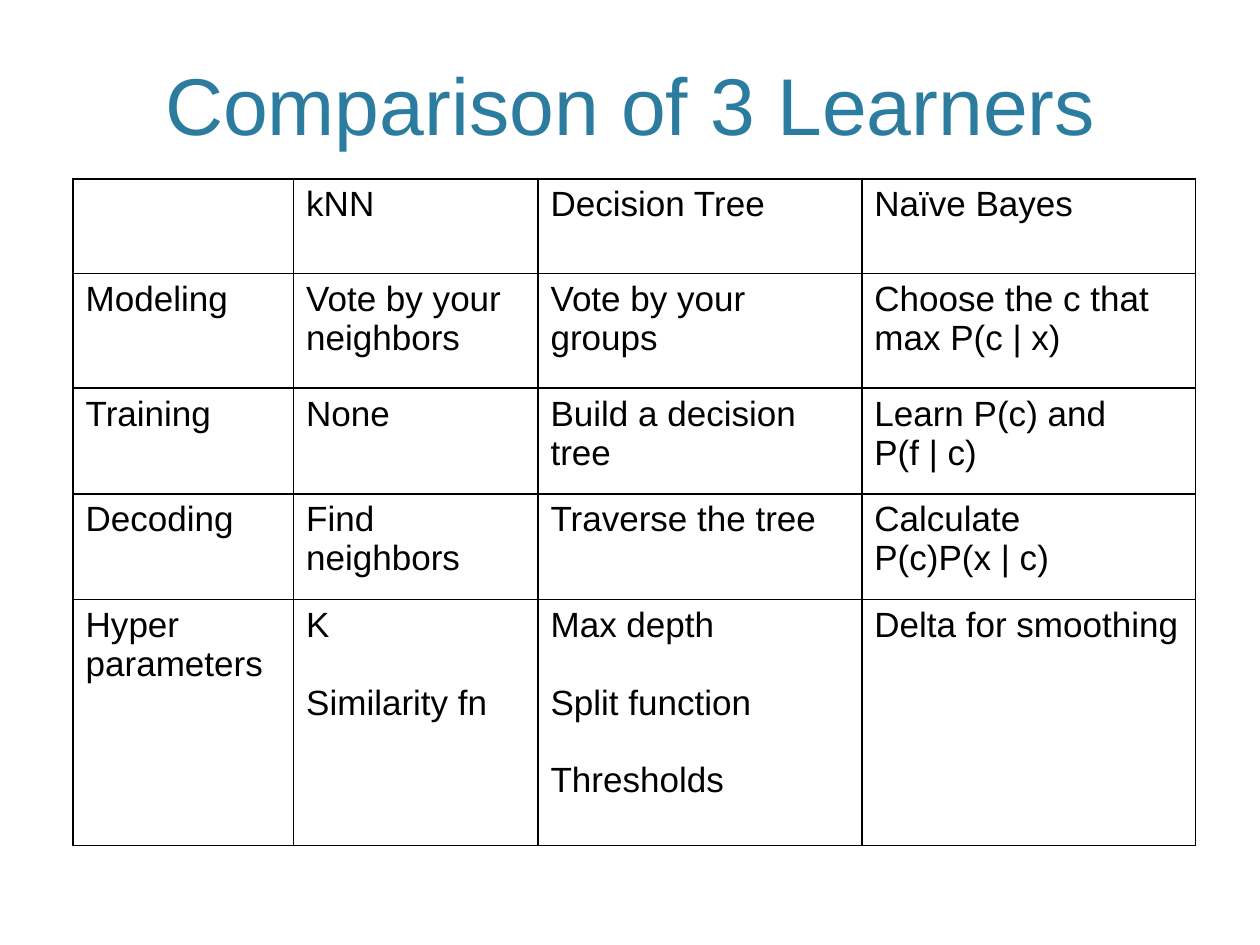
from lxml import etree
from pptx import Presentation
from pptx.dml.color import RGBColor
from pptx.enum.text import MSO_ANCHOR, PP_ALIGN
from pptx.oxml.ns import qn
from pptx.util import Inches, Pt

BOTTOM, CENTER = MSO_ANCHOR.BOTTOM, PP_ALIGN.CENTER

# Content: a line break starts a paragraph, a tuple holds spaced-out items
TITLE = "Comparison of 3 Learners"
ROWS = [
    ["", "kNN", "Decision Tree", "Naïve Bayes"],
    ["Modeling", "Vote by your neighbors", "Vote by your groups",
     "Choose the c that max P(c | x)"],
    ["Training", "None", "Build a decision tree", "Learn P(c) and\nP(f | c)"],
    ["Decoding", "Find neighbors", "Traverse the tree", "Calculate\nP(c)P(x | c)"],
    ["Hyper\nparameters", ("K", "Similarity fn"),
     ("Max depth", "Split function", "Thresholds"), "Delta for smoothing"],
]
COLUMN_WIDTHS = [1.75, 1.94, 2.57, 2.65]
ROW_HEIGHTS = [0.75, 0.91, 0.84, 0.84, 1.95]
TITLE_FONT = {"name": "Arial", "size": Pt(46)}
CELL_FONT = {"name": "Arial", "size": Pt(20)}
ITEM_GAP = Pt(22)


def color(hex_text):
    return RGBColor.from_string(hex_text)


def write(para, text, font, hex_text):
    span = para.add_run()
    span.text = text
    for key, value in font.items():
        setattr(span.font, key, value)
    span.font.color.rgb = color(hex_text)


def add_borders(cell):
    properties = cell._tc.get_or_add_tcPr()
    for position, side in enumerate(("a:lnL", "a:lnR", "a:lnT", "a:lnB")):
        line = etree.Element(qn(side), w=str(Pt(1)))
        fill = etree.SubElement(line, qn("a:solidFill"))
        etree.SubElement(fill, qn("a:srgbClr"), val="000000")
        properties.insert(position, line)


def fill_cell(cell, content):
    cell.fill.background()
    add_borders(cell)
    spaced = isinstance(content, tuple)
    frame = cell.text_frame
    for index, text in enumerate(content if spaced else content.split("\n")):
        para = frame.add_paragraph() if index else frame.paragraphs[0]
        if spaced and index:
            para.space_before = ITEM_GAP
        if text:
            write(para, text, CELL_FONT, "000000")


deck = Presentation()
deck.slide_width, deck.slide_height = Inches(10), Inches(7.5)
page = deck.slides.add_slide(deck.slide_layouts[6])

# Title
box = page.shapes.add_textbox(Inches(0.5), 0, Inches(9), Inches(1.25))
box.text_frame.word_wrap = True
box.text_frame.vertical_anchor = BOTTOM
heading = box.text_frame.paragraphs[0]
heading.alignment = CENTER
write(heading, TITLE, TITLE_FONT, "2C7C9F")

# Comparison table
table = page.shapes.add_table(
    len(ROWS), len(COLUMN_WIDTHS), Inches(0.58), Inches(1.42),
    Inches(sum(COLUMN_WIDTHS)), Inches(sum(ROW_HEIGHTS))).table
table.first_row = table.horz_banding = False
for column, width in zip(table.columns, COLUMN_WIDTHS):
    column.width = Inches(width)
for row, height, contents in zip(table.rows, ROW_HEIGHTS, ROWS):
    row.height = Inches(height)
    for cell, content in zip(row.cells, contents):
        fill_cell(cell, content)

deck.save("out.pptx")
